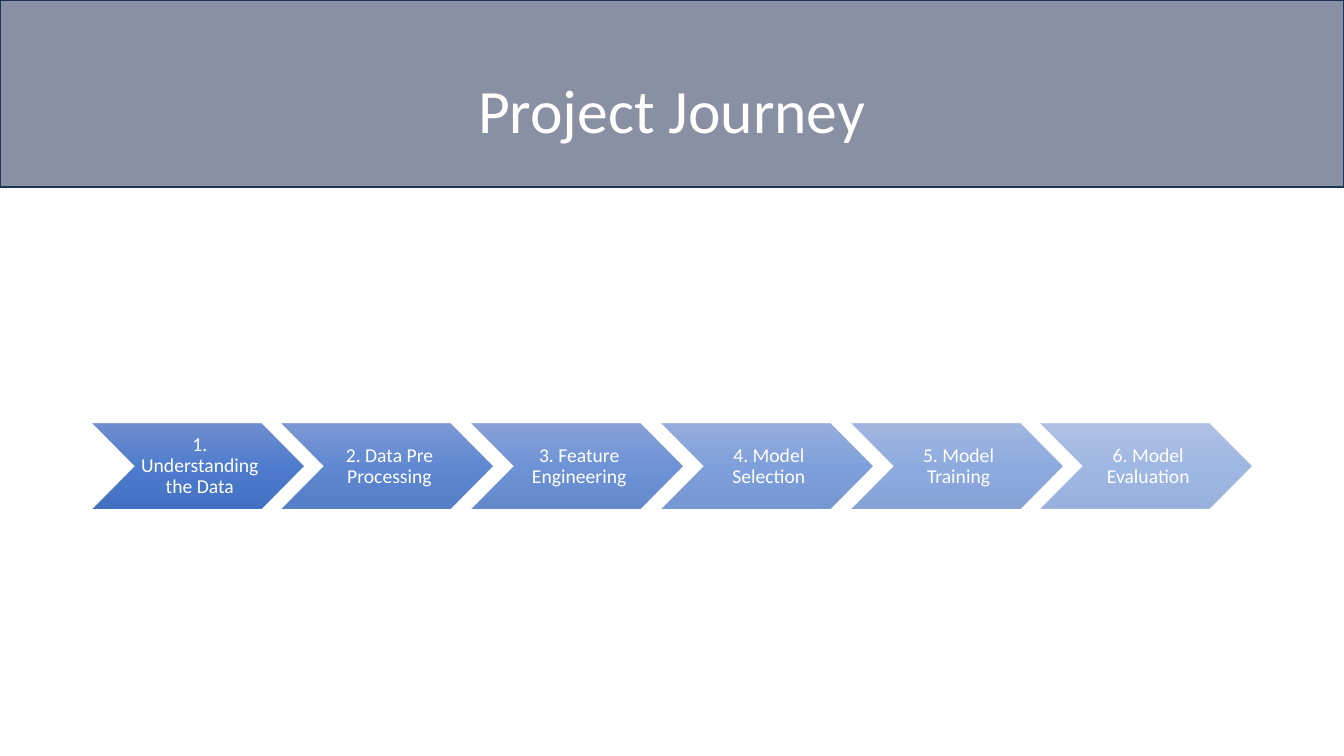
from dataclasses import dataclass

from lxml import etree
from pptx import Presentation
from pptx.dml.color import RGBColor
from pptx.enum.shapes import MSO_SHAPE
from pptx.enum.text import MSO_ANCHOR, PP_ALIGN
from pptx.oxml.ns import qn
from pptx.util import Pt

RECTANGLE = MSO_SHAPE.RECTANGLE
CHEVRON = MSO_SHAPE.CHEVRON
MIDDLE = MSO_ANCHOR.MIDDLE
CENTER = PP_ALIGN.CENTER


@dataclass(frozen=True)
class Theme:
    font: str = "Calibri"
    title_size: float = 44
    step_size: float = 14
    text: str = "FFFFFF"
    banner: str = "162349"
    banner_line: str = "1E3256"
    banner_opacity: int = 50
    gradient: tuple = ((0, "6183CB"), (50, "3E70CA"), (100, "3062BB"))
    first_opacity: int = 90
    last_opacity: int = 50


@dataclass(frozen=True)
class Box:
    left: float
    top: float
    width: float
    height: float

    def lengths(self):
        return Pt(self.left), Pt(self.top), Pt(self.width), Pt(self.height)


THEME = Theme()
STEPS = (
    "1. Understanding the Data",
    "2. Data Pre Processing",
    "3. Feature Engineering",
    "4. Model Selection",
    "5. Model Training",
    "6. Model Evaluation",
)


def set_opacity(color, percent):
    etree.SubElement(color, qn("a:alpha"), val=str(round(percent * 1000)))


def add_label(shapes, box, text, size, insets):
    label = shapes.add_textbox(*box.lengths())
    frame = label.text_frame
    frame.word_wrap = True
    frame.vertical_anchor = MIDDLE
    left, top, right, bottom = insets
    frame.margin_left, frame.margin_top = Pt(left), Pt(top)
    frame.margin_right, frame.margin_bottom = Pt(right), Pt(bottom)
    para = frame.paragraphs[0]
    para.alignment = CENTER
    para.line_spacing = 0.9
    span = para.add_run()
    span.text = text
    span.font.name = THEME.font
    span.font.size = Pt(size)
    span.font.color.rgb = RGBColor.from_string(THEME.text)


def add_banner(page, box, title):
    banner = page.shapes.add_shape(RECTANGLE, *box.lengths())
    banner.shadow.inherit = False
    banner.fill.solid()
    banner.fill.fore_color.rgb = RGBColor.from_string(THEME.banner)
    fill = banner.element.spPr.find(qn("a:solidFill"))
    set_opacity(fill.find(qn("a:srgbClr")), THEME.banner_opacity)
    banner.line.color.rgb = RGBColor.from_string(THEME.banner_line)
    banner.line.width = Pt(1)
    side, top = 66, 29
    title_box = Box(box.left + side, box.top + top,
                    box.width - 2 * side, box.height - top - 0.5)
    add_label(page.shapes, title_box, title, THEME.title_size, (7.2, 3.6, 7.2, 3.6))


def fill_gradient(shape, opacity):
    shape.fill.gradient()
    shape.fill.gradient_angle = 270
    stops = shape.element.spPr.find(qn("a:gradFill")).find(qn("a:gsLst"))
    for stop in list(stops):
        stops.remove(stop)
    for position, color in THEME.gradient:
        stop = etree.SubElement(stops, qn("a:gs"), pos=str(position * 1000))
        set_opacity(etree.SubElement(stop, qn("a:srgbClr"), val=color), opacity)


def add_step(shapes, box, text, opacity):
    chevron = shapes.add_shape(CHEVRON, *box.lengths())
    chevron.shadow.inherit = False
    chevron.line.fill.background()
    fill_gradient(chevron, opacity)
    notch = box.height / 2
    text_box = Box(box.left + notch, box.top, box.width - 2 * notch, box.height)
    add_label(shapes, text_box, text, THEME.step_size, (4.4, 1.45, 1.45, 1.45))


def add_journey(page, box, steps):
    overlap = 0.1
    width = box.width / (len(steps) - (len(steps) - 1) * overlap)
    pitch = width * (1 - overlap)
    fade = (THEME.first_opacity - THEME.last_opacity) / (len(steps) - 1)
    group = page.shapes.add_group_shape()
    for index, text in enumerate(steps):
        step_box = Box(box.left + index * pitch, box.top, width, box.height)
        add_step(group.shapes, step_box, text, THEME.first_opacity - index * fade)


def main():
    deck = Presentation()
    deck.slide_width, deck.slide_height = Pt(960), Pt(540)
    page = deck.slides.add_slide(deck.slide_layouts[6])
    add_banner(page, Box(0, 0, 960, 133.7), "Project Journey")
    add_journey(page, Box(66, 302.9, 828, 60.5), STEPS)
    deck.save("out.pptx")


if __name__ == "__main__":
    main()
